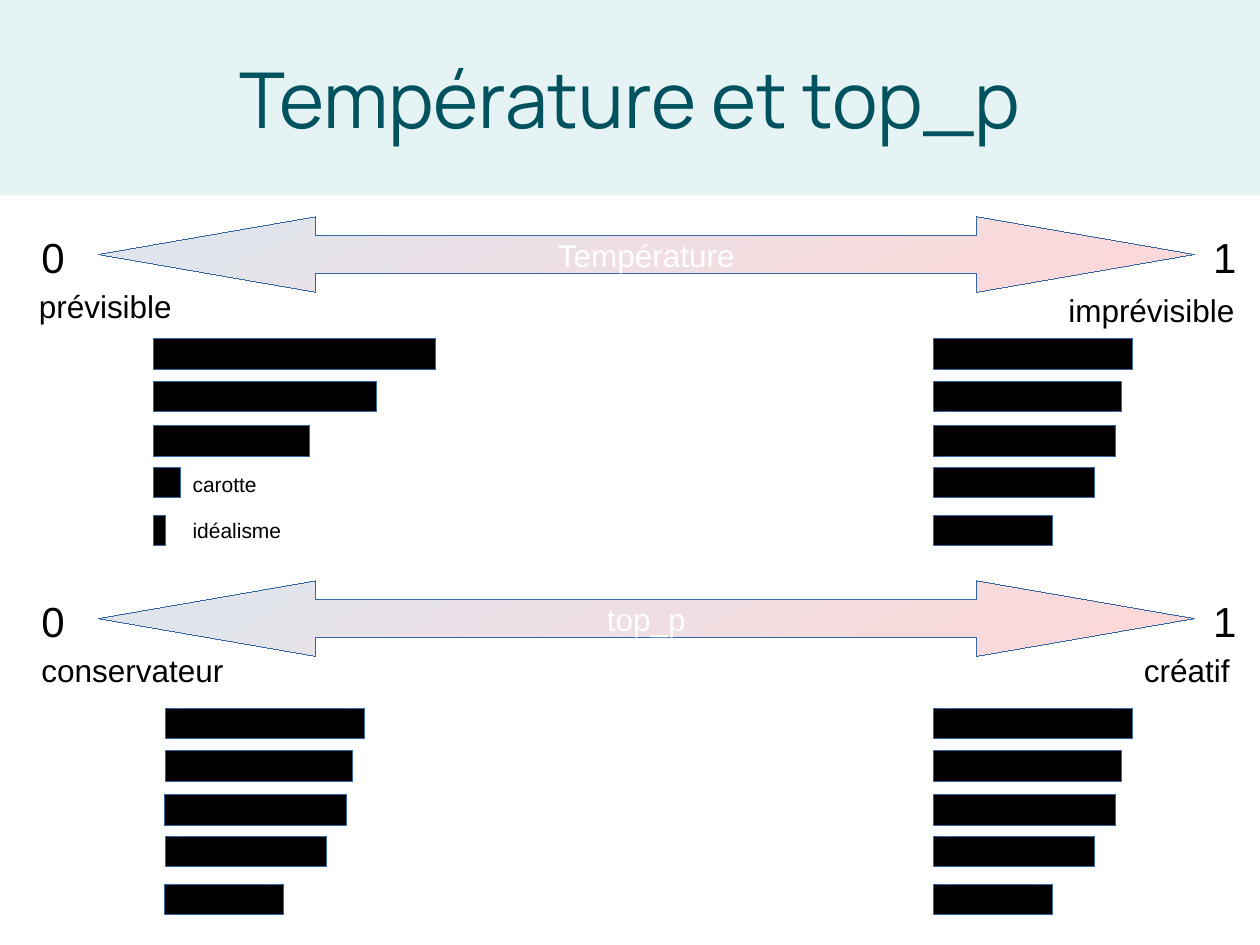
from pptx import Presentation
from pptx.dml.color import RGBColor
from pptx.enum.shapes import MSO_SHAPE
from pptx.enum.text import MSO_ANCHOR, MSO_AUTO_SIZE, PP_ALIGN
from pptx.util import Inches, Pt

RECT = MSO_SHAPE.RECTANGLE
DOUBLE_ARROW = MSO_SHAPE.LEFT_RIGHT_ARROW
MIDDLE = MSO_ANCHOR.MIDDLE
CENTER = PP_ALIGN.CENTER
GROW = MSO_AUTO_SIZE.SHAPE_TO_FIT_TEXT

COLORS = {
    "band": "E6F3F4",
    "title": "00535E",
    "cold": "DEE6EF",
    "hot": "FFD7D7",
    "outline": "3465A4",
    "black": "000000",
    "white": "FFFFFF",
}
BAR_OFFSETS = [0, 0.34, 0.69, 1.02, 1.4]
BAR_HEIGHT = 0.24
STEEP = [2.24, 1.77, 1.24, 0.21, 0.09]
FLAT = [1.58, 1.49, 1.44, 1.28, 0.94]


def rgb(name):
    return RGBColor.from_string(COLORS[name])


def add_run(p, text, size, color, font="Arial"):
    r = p.add_run()
    r.text = text
    r.font.size = Pt(size)
    r.font.name = font
    r.font.color.rgb = rgb(color)


def add_shape(slide, kind, box):
    sp = slide.shapes.add_shape(kind, *map(Inches, box))
    sp.shadow.inherit = False
    return sp


def add_hairline(sp):
    sp.line.color.rgb = rgb("outline")
    sp._element.spPr.get_or_add_ln().set("w", "0")


def add_centered(sp, text, size, color, font="Arial"):
    tf = sp.text_frame
    tf.word_wrap = True
    tf.vertical_anchor = MIDDLE
    p = tf.paragraphs[0]
    p.alignment = CENTER
    add_run(p, text, size, color, font)


def add_label(slide, text, size, box):
    tf = slide.shapes.add_textbox(*map(Inches, box)).text_frame
    tf.word_wrap = False
    tf.auto_size = GROW
    add_run(tf.paragraphs[0], text, size, "black")


def add_title(slide, text, box):
    sp = add_shape(slide, RECT, box)
    sp.fill.solid()
    sp.fill.fore_color.rgb = rgb("band")
    sp.line.fill.background()
    add_centered(sp, text, 44, "title", "Manrope")


def add_scale(slide, text, box):
    left, top, width, height = box
    sp = add_shape(slide, DOUBLE_ARROW, box)
    sp.adjustments[0] = 0.5
    sp.adjustments[1] = 2.88
    sp.fill.gradient()
    sp.fill.gradient_angle = 300
    for stop, color in zip(sp.fill.gradient_stops, ("cold", "hot")):
        stop.color.rgb = rgb(color)
    add_hairline(sp)
    add_centered(sp, text, 18, "white")
    add_label(slide, "0", 24, (left - 0.55, top + 0.07, 0.38, 0.47))
    add_label(slide, "1", 24, (left + width + 0.05, top + 0.07, 0.38, 0.47))


def add_bars(slide, left, top, widths):
    for offset, width in zip(BAR_OFFSETS, widths):
        sp = add_shape(slide, RECT, (left, top + offset, width, BAR_HEIGHT))
        sp.fill.solid()
        sp.fill.fore_color.rgb = rgb("black")
        add_hairline(sp)


def main():
    prs = Presentation()
    prs.slide_width = Inches(10)
    prs.slide_height = Inches(7.5)
    slide = prs.slides.add_slide(prs.slide_layouts[6])

    add_title(slide, "Température et top_p", (0, 0, 10, 1.55))

    add_scale(slide, "Température", (0.78, 1.72, 8.7, 0.6))
    add_label(slide, "prévisible", 18, (0.21, 2.23, 1.26, 0.38))
    add_label(slide, "imprévisible", 18, (8.38, 2.26, 1.52, 0.38))
    add_bars(slide, 1.22, 2.69, STEEP)
    add_label(slide, "carotte", 12, (1.43, 3.69, 0.71, 0.29))
    add_label(slide, "idéalisme", 12, (1.43, 4.06, 0.91, 0.29))
    add_bars(slide, 7.41, 2.69, FLAT)

    add_scale(slide, "top_p", (0.78, 4.61, 8.7, 0.6))
    add_label(slide, "conservateur", 18, (0.23, 5.12, 1.65, 0.38))
    add_label(slide, "créatif", 18, (8.98, 5.12, 0.88, 0.38))
    for left in (1.31, 7.41):
        add_bars(slide, left, 5.62, FLAT)

    prs.save("out.pptx")


if __name__ == "__main__":
    main()
